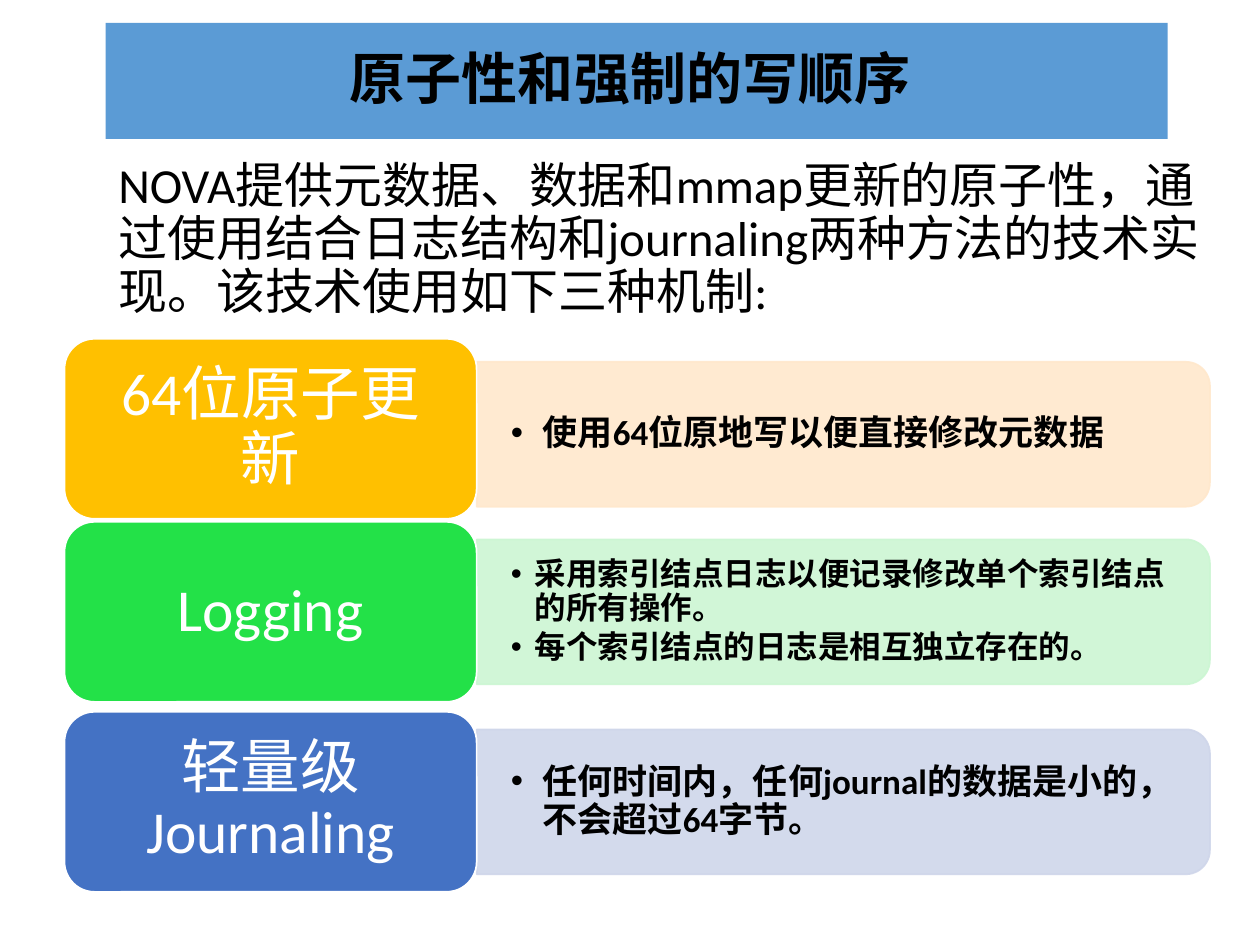
from lxml import etree
from pptx import Presentation
from pptx import util as u
from pptx.dml.color import RGBColor
from pptx.enum import shapes, text
from pptx.oxml import ns

COLORS = {
    "banner": "5B9BD5", "ink": "000000", "white": "FFFFFF",
    "atomic": "FFC000", "atomic_pale": "FFE8CC",
    "logging": "23E148", "logging_pale": "CCF6D3",
    "journal": "4472C4", "journal_pale": "CFD6EA",
}
LATIN, CJK = "Calibri", "Noto Sans CJK SC"
LABEL_WIDTH, PANEL_HEIGHT = 8.31, 2.92

MECHANISMS = [
    ("atomic", 6.83, 0.11, 20, "64位原子更新",
     ["使用64位原地写以便直接修改元数据"]),
    ("logging", 10.52, 0, 18, "Logging",
     ["采用索引结点日志以便记录修改单个索引结点的所有操作。",
      "每个索引结点的日志是相互独立存在的。"]),
    ("journal", 14.35, 0, 20, "轻量级Journaling",
     ["任何时间内，任何journal的数据是小的，不会超过64字节。"]),
]


def color(name):
    return RGBColor.from_string(COLORS[name])


def place(part, left, top, width, height):
    part.left, part.top = u.Cm(left), u.Cm(top)
    part.width, part.height = u.Cm(width), u.Cm(height)


def paint(part, fill, line, opacity=100):
    part.shadow.inherit = False
    part.fill.solid()
    part.fill.fore_color.rgb = color(fill)
    part.line.color.rgb = color(line)
    part.line.width = u.Pt(1)
    if opacity < 100:
        for tint in part._element.spPr.iter(ns.qn("a:srgbClr")):
            etree.SubElement(tint, ns.qn("a:alpha"), val=str(opacity * 1000))


def format_text(frame, size, ink, bold=False, latin=LATIN, align=None):
    frame.word_wrap = True
    frame.auto_size = text.MSO_AUTO_SIZE.NONE
    for paragraph in frame.paragraphs:
        paragraph.line_spacing = 0.9
        paragraph.alignment = align
        for run in paragraph.runs:
            run.font.size, run.font.bold = u.Pt(size), bold
            run.font.name = latin
            run.font.color.rgb = color(ink)
            etree.SubElement(run._r.get_or_add_rPr(), ns.qn("a:ea"), typeface=CJK)


def set_insets(frame, across, down):
    frame.margin_left = frame.margin_right = u.Cm(across)
    frame.margin_top = frame.margin_bottom = u.Cm(down)
    frame.vertical_anchor = text.MSO_ANCHOR.MIDDLE


def set_bullet(paragraph, indent, bullet):
    properties = paragraph._p.get_or_add_pPr()
    properties.set("marL", str(u.Cm(indent)))
    properties.set("indent", str(-u.Cm(indent)))
    if bullet:
        etree.SubElement(properties, ns.qn("a:buFont"), typeface="Arial")
        etree.SubElement(properties, ns.qn("a:buChar"), char=bullet)
    else:
        etree.SubElement(properties, ns.qn("a:buNone"))


def add_heading(slide, left, top, width, height):
    heading = slide.shapes.title
    place(heading, left, top, width, height)
    heading.fill.solid()
    heading.fill.fore_color.rgb = color("banner")
    heading.text_frame.text = "原子性和强制的写顺序 "
    heading.text_frame.vertical_anchor = text.MSO_ANCHOR.MIDDLE
    format_text(heading.text_frame, 32, "ink", True, CJK, text.PP_ALIGN.CENTER)


def add_introduction(slide, left, top, width, height):
    introduction = slide.placeholders[1]
    place(introduction, left, top, width, height)
    frame = introduction.text_frame
    frame.text = ("NOVA提供元数据、数据和mmap更新的原子性，通过使用结合日志结构和"
                  "journaling两种方法的技术实现。该技术使用如下三种机制:")
    format_text(frame, 28, "ink")
    frame.paragraphs[0].space_before = u.Pt(10)
    set_bullet(frame.paragraphs[0], 0, None)


def add_panel(slide, left, top, width, height, fill, points, size):
    panel = slide.shapes.add_shape(
        shapes.MSO_SHAPE.ROUND_2_SAME_RECTANGLE,
        u.Cm(left + (width - height) / 2), u.Cm(top + (height - width) / 2),
        u.Cm(height), u.Cm(width))
    panel.rotation = 90
    paint(panel, fill, fill, 90)

    details = slide.shapes.add_textbox(
        u.Cm(left), u.Cm(top + 0.15), u.Cm(width - 0.12), u.Cm(height - 0.3))
    frame = details.text_frame
    frame.text = "\n".join(points)
    set_insets(frame, 0.69, 0.36)
    format_text(frame, size, "ink", True)
    for paragraph in frame.paragraphs:
        paragraph.space_after = u.Pt(size * 0.15)
        set_bullet(paragraph, 0.64 if size == 20 else 0.48, "•")


def add_label(slide, left, top, width, height, fill, name):
    label = slide.shapes.add_shape(
        shapes.MSO_SHAPE.ROUNDED_RECTANGLE,
        u.Cm(left), u.Cm(top), u.Cm(width), u.Cm(height))
    paint(label, fill, "white")
    label.text_frame.text = name
    set_insets(label.text_frame, 0.53, 0.36)
    format_text(label.text_frame, 34, "white", align=text.PP_ALIGN.CENTER)


def add_mechanism(slide, left, top, width, height, shift, theme, name, points, size):
    panel_top = top + (height - PANEL_HEIGHT) / 2 + shift
    add_panel(slide, left + LABEL_WIDTH, panel_top, width - LABEL_WIDTH,
              PANEL_HEIGHT, theme + "_pale", points, size)
    add_label(slide, left, top, LABEL_WIDTH, height, theme, name)


def main():
    deck = Presentation()
    deck.slide_width, deck.slide_height = u.Cm(25.4), u.Cm(19.05)
    slide = deck.slides.add_slide(deck.slide_layouts[1])
    add_heading(slide, 2.13, 0.46, 21.41, 2.34)
    add_introduction(slide, 2.13, 3.12, 22.81, 3.58)
    for theme, top, shift, size, name, points in MECHANISMS:
        add_mechanism(slide, 1.3, top, 23.09, 3.63, shift, theme, name, points, size)
    deck.save("out.pptx")


if __name__ == "__main__":
    main()
